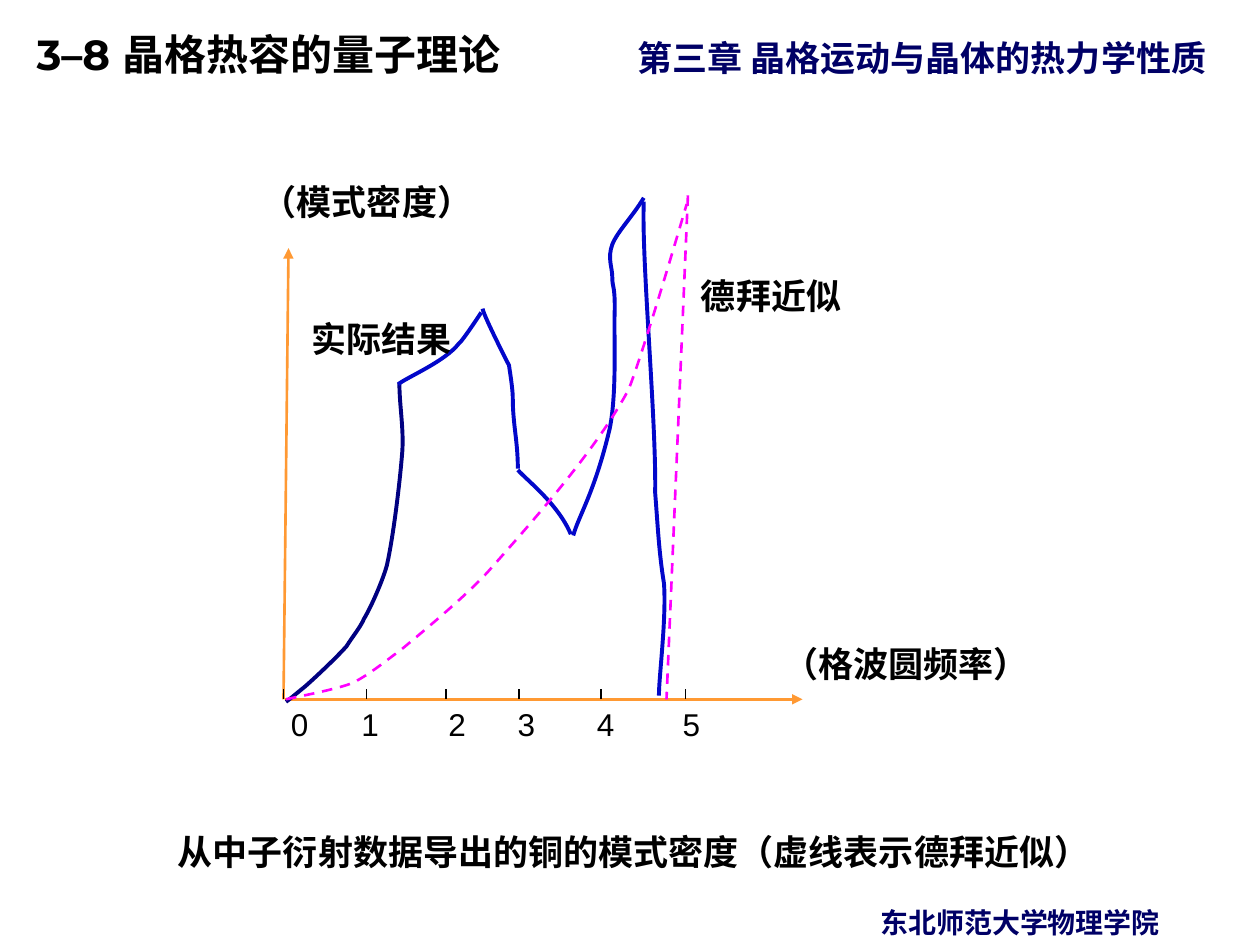
from lxml import etree
from pptx import Presentation
from pptx import util as u
from pptx.dml.color import RGBColor
from pptx.enum import dml, shapes, text
from pptx.oxml.ns import qn

BLACK = RGBColor(0x00, 0x00, 0x00)
NAVY = RGBColor(0x00, 0x00, 0x66)
ORANGE = RGBColor(0xFF, 0x99, 0x33)
DARK_BLUE = RGBColor(0x00, 0x00, 0x80)
BLUE = RGBColor(0x02, 0x07, 0xCA)
MAGENTA = RGBColor(0xFF, 0x00, 0xFF)
CJK, SERIF = "Noto Sans CJK SC", "Times New Roman"

# Text: wording, (left, top, width, height), size, font, colour, centred
HEADINGS = [
    ("第三章 晶格运动与晶体的热力学性质", (4.96, 0.24, 5.08, 0.44), 20, CJK, NAVY, False),
    ("东北师范大学物理学院", (6.89, 7.14, 3.11, 0.37), 16, CJK, NAVY, False),
    ("从中子衍射数据导出的铜的模式密度（虚线表示德拜近似）",
     (0.15, 6.54, 9.76, 0.44), 20, CJK, BLACK, True),
]
SECTION = ("3–8 晶格热容的量子理论", (0, 0.07, 8.05, 0.61), 24, "Montserrat", BLACK, False)
PLOT_LABELS = [
    ("德拜近似", (5.46, 2.13, 1.32, 0.43), 20, SERIF, BLACK, True),
    ("（格波圆频率）", (6.12, 5.05, 2.16, 0.43), 20, SERIF, BLACK, False),
    ("（模式密度）", (1.98, 1.38, 1.87, 0.43), 20, SERIF, BLACK, False),
    ("实际结果", (2.37, 2.47, 1.32, 0.43), 20, SERIF, BLACK, True),
]
TICK_LABELS = ["0", "1", "2", "3", "4", "5"]
TICK_TABS = [0.56, 1.25, 1.8, 2.43, 3.11]

# Plot: axes, ticks and curves
BASELINE, TICK_TOP = 5.55, 5.47
AXES = [((2.25, BASELINE), (2.29, 1.97)), ((2.26, BASELINE), (6.37, BASELINE))]
TICKS = [2.25, 2.91, 3.54, 4.12, 4.77, 5.44]
DEBYE_CUTOFF = ((5.46, 1.55), (5.29, BASELINE))

# Each curve: start point, then two control points and an end point per segment
MEASURED = [
    (DARK_BLUE, [(2.27, 5.57), (2.3, 5.55), (2.37, 5.49), (2.42, 5.45),
                 (2.5, 5.38), (2.67, 5.22), (2.75, 5.13),
                 (2.8, 5.05), (2.86, 4.98), (2.89, 4.91),
                 (2.95, 4.81), (3.04, 4.6), (3.07, 4.49),
                 (3.12, 4.27), (3.17, 3.86), (3.19, 3.62),
                 (3.21, 3.42), (3.17, 3.23), (3.17, 3.04)]),
    (BLUE, [(3.16, 3.05), (3.24, 2.99), (3.53, 2.87), (3.64, 2.73),
            (3.67, 2.71), (3.82, 2.48), (3.82, 2.48)]),
    (BLUE, [(3.83, 2.45), (3.84, 2.51), (4.04, 2.9), (4.04, 2.9),
            (4.05, 2.97), (4.07, 3.09), (4.07, 3.16),
            (4.07, 3.37), (4.11, 3.5), (4.11, 3.72)]),
    (BLUE, [(4.11, 3.73), (4.18, 3.81), (4.43, 4), (4.53, 4.24)]),
    (BLUE, [(4.55, 4.25), (4.59, 4.1), (4.72, 3.91), (4.84, 3.4),
            (4.9, 3.1), (4.87, 2.65), (4.88, 2.45),
            (4.88, 2.25), (4.86, 2.29), (4.86, 2.2),
            (4.86, 2.12), (4.82, 2.05), (4.86, 1.94),
            (4.9, 1.84), (5.02, 1.72), (5.11, 1.57)]),
    (BLUE, [(5.11, 1.6), (5.09, 2.05), (5.21, 3.34), (5.2, 3.91),
            (5.22, 4.16), (5.23, 4.39), (5.27, 4.63),
            (5.29, 4.91), (5.23, 5.37), (5.23, 5.52)]),
]
DEBYE = [(2.27, 5.55), (2.36, 5.53), (2.68, 5.47), (2.8, 5.42),
         (2.94, 5.35), (3.08, 5.23), (3.18, 5.16),
         (3.36, 5.01), (3.7, 4.73), (3.88, 4.53),
         (4.18, 4.19), (4.73, 3.58), (4.99, 3.09),
         (5.1, 2.81), (5.38, 1.86), (5.45, 1.62)]


def style_line(line, color, width, dashed=False):
    line.color.rgb = color
    line.width = u.Pt(width)
    if dashed:
        line.dash_style = dml.MSO_LINE.DASH


def add_line(page, start, end, color, width, dashed=False, arrow=False):
    ends = [u.Inches(value) for value in (*start, *end)]
    line = page.shapes.add_connector(shapes.MSO_CONNECTOR.STRAIGHT, *ends)
    style_line(line.line, color, width, dashed)
    if arrow:
        etree.SubElement(line.line._get_or_add_ln(), qn("a:tailEnd"), type="triangle")
    etree.SubElement(line._element.spPr, qn("a:effectLst"))


def add_curve(page, points, color, width, dashed=False):
    # The builder rounds coordinates to whole units, so give it EMU
    start, *others = [(u.Inches(x), u.Inches(y)) for x, y in points]
    builder = page.shapes.build_freeform(*start)
    builder.add_line_segments(others, close=False)
    curve = builder.convert_to_shape()
    # Turn every three straight segments into one Bezier segment
    outline = curve._element.find(".//" + qn("a:path"))
    segments = outline.findall(qn("a:lnTo"))
    for first in range(0, len(segments), 3):
        bezier = etree.SubElement(outline, qn("a:cubicBezTo"))
        for segment in segments[first:first + 3]:
            bezier.append(segment[0])
            outline.remove(segment)
    curve.fill.background()
    curve.shadow.inherit = False
    style_line(curve.line, color, width, dashed)


def add_text(page, label, wrap=True, bold=True, tabs=()):
    wording, place, size, font, color, centred = label
    box = page.shapes.add_textbox(*[u.Inches(value) for value in place])
    frame = box.text_frame
    frame.word_wrap = wrap
    para = frame.paragraphs[0]
    para.text = wording
    if centred:
        para.alignment = text.PP_ALIGN.CENTER
    if tabs:
        stops = etree.SubElement(para._p.get_or_add_pPr(), qn("a:tabLst"))
        for tab in tabs:
            etree.SubElement(stops, qn("a:tab"), pos=str(u.Inches(tab)), algn="l")
    for span in para.runs:
        span.font.size = u.Pt(size)
        span.font.name = font
        span.font.bold = bold
        span.font.color.rgb = color
        etree.SubElement(span.font._element, qn("a:ea"), typeface=CJK)
    return frame


def main():
    deck = Presentation()
    deck.slide_width, deck.slide_height = u.Inches(10), u.Inches(7.5)
    page = deck.slides.add_slide(deck.slide_layouts[6])

    # Headings, caption and footer
    for heading in HEADINGS:
        add_text(page, heading)
    section = add_text(page, SECTION)
    section.margin_left = u.Inches(0.29)
    section.vertical_anchor = text.MSO_ANCHOR.MIDDLE
    section.paragraphs[0].line_spacing = 1.25

    # Axes and ticks
    for start, end in AXES:
        add_line(page, start, end, ORANGE, 1.5, arrow=True)
    for x in TICKS:
        add_line(page, (x, TICK_TOP), (x, BASELINE), BLACK, 0.75)

    # Measured density and Debye approximation
    for color, points in MEASURED:
        add_curve(page, points, color, 2.25)
    add_curve(page, DEBYE, MAGENTA, 1.5, dashed=True)
    add_line(page, *DEBYE_CUTOFF, MAGENTA, 1.5, dashed=True)

    # Plot labels
    scale = ("\t".join(TICK_LABELS), (2.21, 5.55, 3.47, 0.4), 18, "Arial", BLACK, False)
    add_text(page, scale, bold=False, tabs=TICK_TABS)
    for label in PLOT_LABELS:
        add_text(page, label, wrap=False)

    deck.save("out.pptx")


if __name__ == "__main__":
    main()
